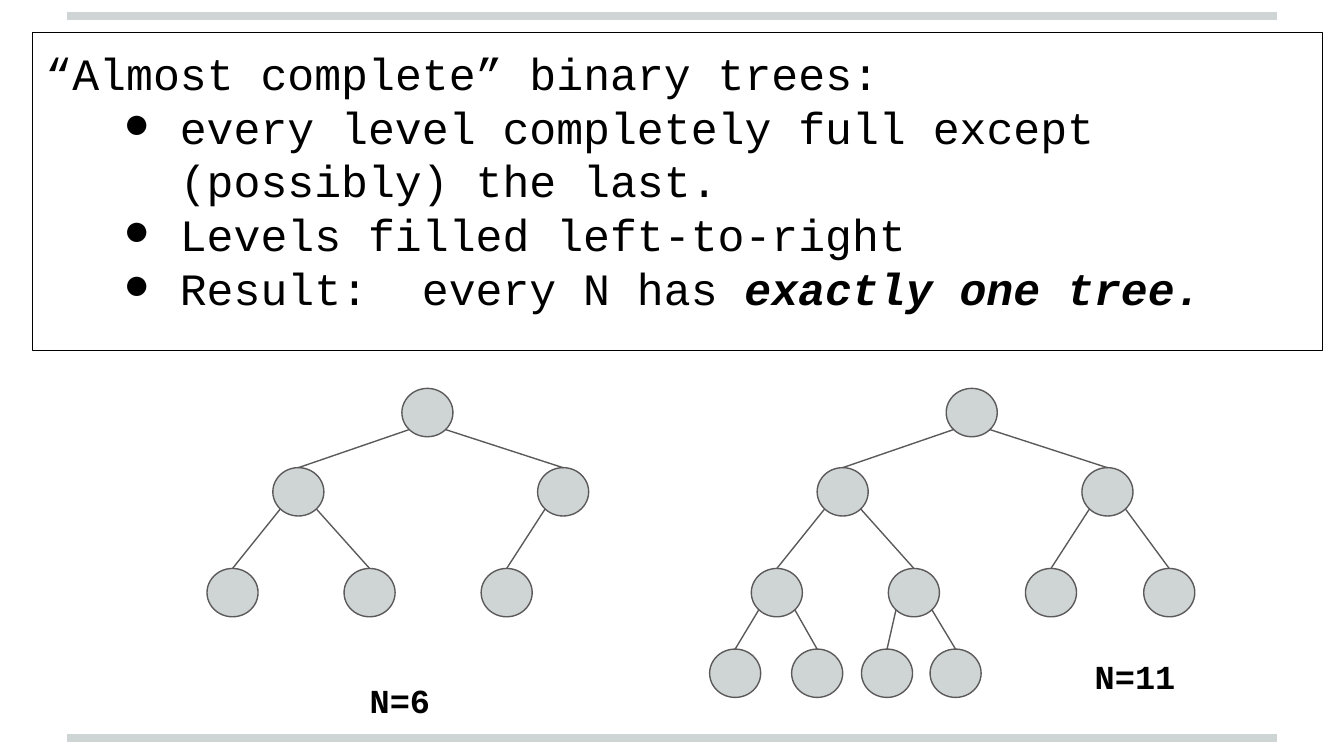
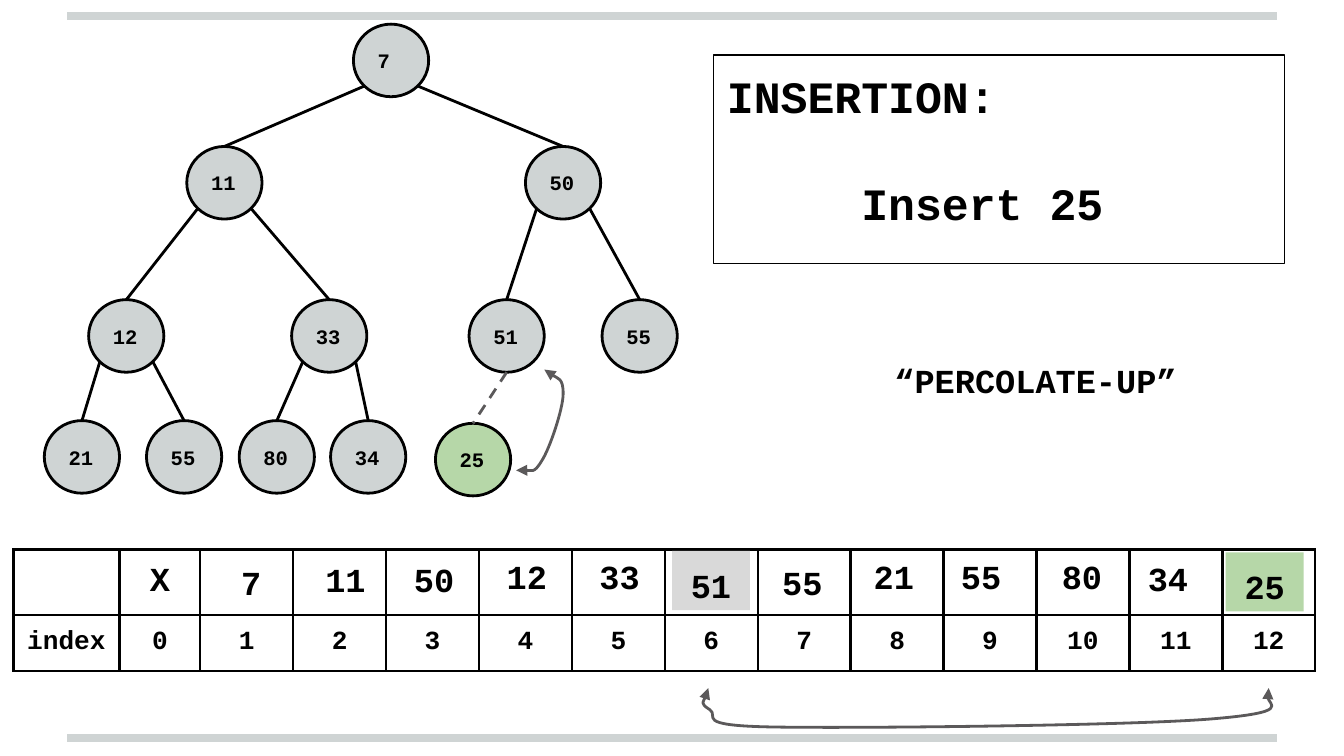
from dataclasses import dataclass

from lxml import etree
from pptx import Presentation
from pptx.dml.color import RGBColor
from pptx.enum.dml import MSO_LINE
from pptx.enum.shapes import MSO_CONNECTOR, MSO_SHAPE
from pptx.enum.text import MSO_ANCHOR, PP_ALIGN
from pptx.oxml.ns import qn
from pptx.util import Inches, Pt

STRAIGHT = MSO_CONNECTOR.STRAIGHT
RECT, OVAL = MSO_SHAPE.RECTANGLE, MSO_SHAPE.OVAL
LEFT, CENTER = PP_ALIGN.LEFT, PP_ALIGN.CENTER
TOP, MIDDLE = MSO_ANCHOR.TOP, MSO_ANCHOR.MIDDLE
DASH = MSO_LINE.DASH


@dataclass(frozen=True)
class Theme:
    font: str = "Courier New"
    ink: str = "000000"
    band: str = "CFD4D4"
    node: str = "CFD4D4"
    grey_line: str = "5B595A"
    parent_cell: str = "D9D9D9"
    inserted: str = "B6D7A8"
    heading: float = 24
    value: float = 18
    index: float = 14
    key: float = 11
    inset: float = 0.1


THEME = Theme()


def add_line(slide, start, end, color, width):
    line = slide.shapes.add_connector(STRAIGHT, *map(Inches, (*start, *end)))
    line.line.color.rgb = RGBColor.from_string(color)
    line.line.width = Pt(width)
    etree.SubElement(line.element.spPr, qn("a:effectLst"))
    return line


def add_box(slide, at, text, size, kind=None, fill=None, outline=None,
            width=0.75, bold=True, align=CENTER, anchor=TOP):
    """Add a text box, or a preset shape when kind is given."""
    place = [Inches(length) for length in at]
    if kind is None:
        box = slide.shapes.add_textbox(*place)
    else:
        box = slide.shapes.add_shape(kind, *place)
        box.shadow.inherit = False
        box.fill.background()
        box.line.fill.background()
    if fill:
        box.fill.solid()
        box.fill.fore_color.rgb = RGBColor.from_string(fill)
    if outline:
        box.line.color.rgb = RGBColor.from_string(outline)
        box.line.width = Pt(width)
    frame = box.text_frame
    frame.word_wrap = True
    frame.vertical_anchor = anchor
    frame.margin_left = frame.margin_right = Inches(THEME.inset)
    frame.margin_top = frame.margin_bottom = Inches(THEME.inset)
    frame.text = text
    for paragraph in frame.paragraphs:
        paragraph.alignment = align
        paragraph.font.name = THEME.font
        paragraph.font.size = Pt(size)
        paragraph.font.bold = bold
        paragraph.font.color.rgb = RGBColor.from_string(THEME.ink)
    return box


prs = Presentation()
prs.slide_width = Inches(10)
prs.slide_height = prs.slide_width * 9 // 16
shapes_slide, insertion_slide = [
    prs.slides.add_slide(prs.slide_layouts[6]) for _ in range(2)]
for slide in prs.slides:
    for y in (5.49, 0.12):
        add_line(slide, (0.5, y), (9.5, y), THEME.band, 4)

# Trees: nodes in heap order, so the parent of node i is (i - 1) // 2
small_lefts = [2.99, 2.03, 4, 1.54, 2.56, 3.58, 4.46, 1.23, 1.84, 2.36, 2.87]
small_tops = [2.89, 3.48, 4.23, 4.83]
small_size = (0.38, 0.36)
heap_lefts = [2.63, 1.39, 3.91, 0.66, 2.17, 3.49, 4.48, 0.33, 1.09, 1.78, 2.46]
heap_tops = [0.18, 1.09, 2.23, 3.13]
heap_keys = ["7", "11", "50", "12", "33", "51", "55", "21", "55", "80", "34"]
heap_size = (0.56, 0.54)
trees = [
    (shapes_slide, small_lefts[:6], small_tops, small_size,
     [""] * 6, THEME.grey_line, 0.75),
    (shapes_slide, [x + 4.05 for x in small_lefts], small_tops, small_size,
     [""] * 11, THEME.grey_line, 0.75),
    (insertion_slide, heap_lefts, heap_tops, heap_size,
     heap_keys, THEME.ink, 1.5),
]
for slide, lefts, tops, (node_w, node_h), keys, color, width in trees:
    corners = [(left, tops[(i + 1).bit_length() - 1])
               for i, left in enumerate(lefts)]
    for corner, key in zip(corners, keys):
        add_box(slide, (*corner, node_w, node_h), key, THEME.key, OVAL,
                THEME.node, color, width, align=LEFT, anchor=MIDDLE)
    for child in range(1, len(corners)):
        parent_x, parent_y = corners[(child - 1) // 2]
        child_x, child_y = corners[child]
        across = 0.15 if child % 2 else 0.85  # 45 degree point on the oval
        add_line(slide,
                 (parent_x + across * node_w, parent_y + 0.85 * node_h),
                 (child_x + node_w / 2, child_y), color, width)

# Slide 1: definition and tree sizes
for at, caption in (((2.48, 4.96, 0.99, 0.45), "N=6"),
                    ((7.95, 4.78, 0.99, 0.45), "N=11")):
    add_box(shapes_slide, at, caption, THEME.value)
definition = add_box(
    shapes_slide, (0.24, 0.24, 9.6, 2.37),
    "“Almost complete” binary trees:\n"
    "every level completely full except (possibly) the last.\n"
    "Levels filled left-to-right\n"
    "Result:  every N has ",
    THEME.heading, RECT, outline=THEME.ink, bold=False, align=LEFT)
rules = definition.text_frame.paragraphs[1:]
for rule in rules:
    props = rule._p.get_or_add_pPr()
    props.set("marL", str(Inches(1)))
    props.set("indent", str(Inches(-0.42)))
    bullet_color = etree.Element(qn("a:buClr"))
    etree.SubElement(bullet_color, qn("a:srgbClr"), val=THEME.ink)
    props.insert(0, bullet_color)
    props.insert(1, etree.Element(qn("a:buFont"), typeface=THEME.font))
    props.insert(2, etree.Element(qn("a:buChar"), char="●"))
emphasis = rules[-1].add_run()
emphasis.text = "exactly one tree."
emphasis.font.bold = emphasis.font.italic = True

# Slide 2: array behind the heap
array = insertion_slide.shapes.add_table(
    2, 14, *map(Inches, (0.1, 4.09, 9.69, 0.85))).table
array.first_row = array.horz_banding = False
slot_width = (9.69 - 0.79 - 0.6) / 12
for column, width in zip(array.columns, [0.79, 0.6] + [slot_width] * 12):
    column.width = Inches(width)
for row, height in zip(array.rows, (0.43, 0.42)):
    row.height = Inches(height)
array_texts = [["", "X"] + [""] * 12, ["index", *map(str, range(13))]]
for r, (texts, size) in enumerate(zip(array_texts, (THEME.value, THEME.index))):
    for c, text in enumerate(texts):
        cell = array.cell(r, c)
        cell.text = text
        cell.margin_left = cell.margin_right = Inches(THEME.inset)
        cell.margin_top = cell.margin_bottom = Inches(THEME.inset)
        paragraph = cell.text_frame.paragraphs[0]
        paragraph.alignment = CENTER
        paragraph.font.name = THEME.font
        paragraph.font.size = Pt(size)
        paragraph.font.bold = True
        paragraph.font.color.rgb = RGBColor.from_string(THEME.ink)
        cell_props = cell._tc.get_or_add_tcPr()
        for side in ("a:lnL", "a:lnR", "a:lnT", "a:lnB"):
            border = etree.SubElement(cell_props, qn(side), w=str(Pt(1.5)))
            border_fill = etree.SubElement(border, qn("a:solidFill"))
            etree.SubElement(border_fill, qn("a:srgbClr"), val=THEME.ink)
        cell.fill.background()

value_lefts = [1.58, 2.28, 2.94, 3.63, 4.32, 5, 5.68, 6.36, 7.01, 7.76, 8.4, 9.12]
value_tops = [4.08, 4.06, 4.06, 4.04, 4.04, 4.1, 4.08, 4.04, 4.04, 4.04, 4.05, 4.11]
highlights = {"51": THEME.parent_cell, "25": THEME.inserted}
for key, left, top in zip(heap_keys + ["25"], value_lefts, value_tops):
    fill = highlights.get(key)
    add_box(insertion_slide, (left, top, 0.58, 0.44), key, THEME.value,
            RECT if fill else None, fill)

# Slide 2: the inserted key and its swap
task = add_box(insertion_slide, (5.31, 0.41, 4.25, 1.55),
               "INSERTION:\nInsert 25", THEME.heading, RECT,
               outline=THEME.ink, align=LEFT)
step = task.text_frame.paragraphs[1]
step.space_before = Pt(28.8)
step_props = step._p.get_or_add_pPr()
step_props.set("marL", str(Inches(1)))
step_props.set("indent", "0")
operation = add_box(insertion_slide, (6.43, 2.38, 2.55, 0.86),
                    "“PERCOLATE-UP”", THEME.value)
operation.text_frame.margin_top = Inches(0.4)
add_box(insertion_slide, (3.24, 3.15, *heap_size), "25", THEME.key, OVAL,
        THEME.inserted, THEME.ink, 1.5, align=LEFT, anchor=MIDDLE)
new_edge = add_line(insertion_slide, (3.77, 2.77), (3.52, 3.15),
                    THEME.grey_line, 1.5)
new_edge.line.dash_style = DASH

# Each swap arrow is a start point and then three points per Bézier curve
swap_arrows = [
    [(4.05, 2.75), (4.08, 2.78), (4.19, 2.81), (4.19, 2.93), (4.19, 3.04),
     (4.09, 3.34), (4.03, 3.43), (3.97, 3.53), (3.87, 3.49), (3.84, 3.5)],
    [(5.27, 5.12), (5.27, 5.15), (5.2, 5.23), (5.28, 5.28), (5.36, 5.33),
     (5.14, 5.4), (5.76, 5.41), (6.38, 5.42), (8.4, 5.4), (9.01, 5.35),
     (9.62, 5.3), (9.37, 5.16), (9.44, 5.12)],
]
for points in swap_arrows:
    start, *rest = [(Inches(x), Inches(y)) for x, y in points]
    builder = insertion_slide.shapes.build_freeform(*start)
    builder.add_line_segments(rest, close=False)
    arrow = builder.convert_to_shape()
    arrow.shadow.inherit = False
    arrow.fill.background()
    arrow.line.color.rgb = RGBColor.from_string(THEME.grey_line)
    arrow.line.width = Pt(1.5)
    for end in ("a:headEnd", "a:tailEnd"):
        etree.SubElement(arrow.line._get_or_add_ln(), qn(end), type="triangle")
    outline = arrow.element.find(".//" + qn("a:path"))
    segments = outline.findall(qn("a:lnTo"))
    for first in range(0, len(segments), 3):
        curve = etree.SubElement(outline, qn("a:cubicBezTo"))
        for segment in segments[first:first + 3]:
            curve.append(segment[0])
            outline.remove(segment)

prs.save("out.pptx")
